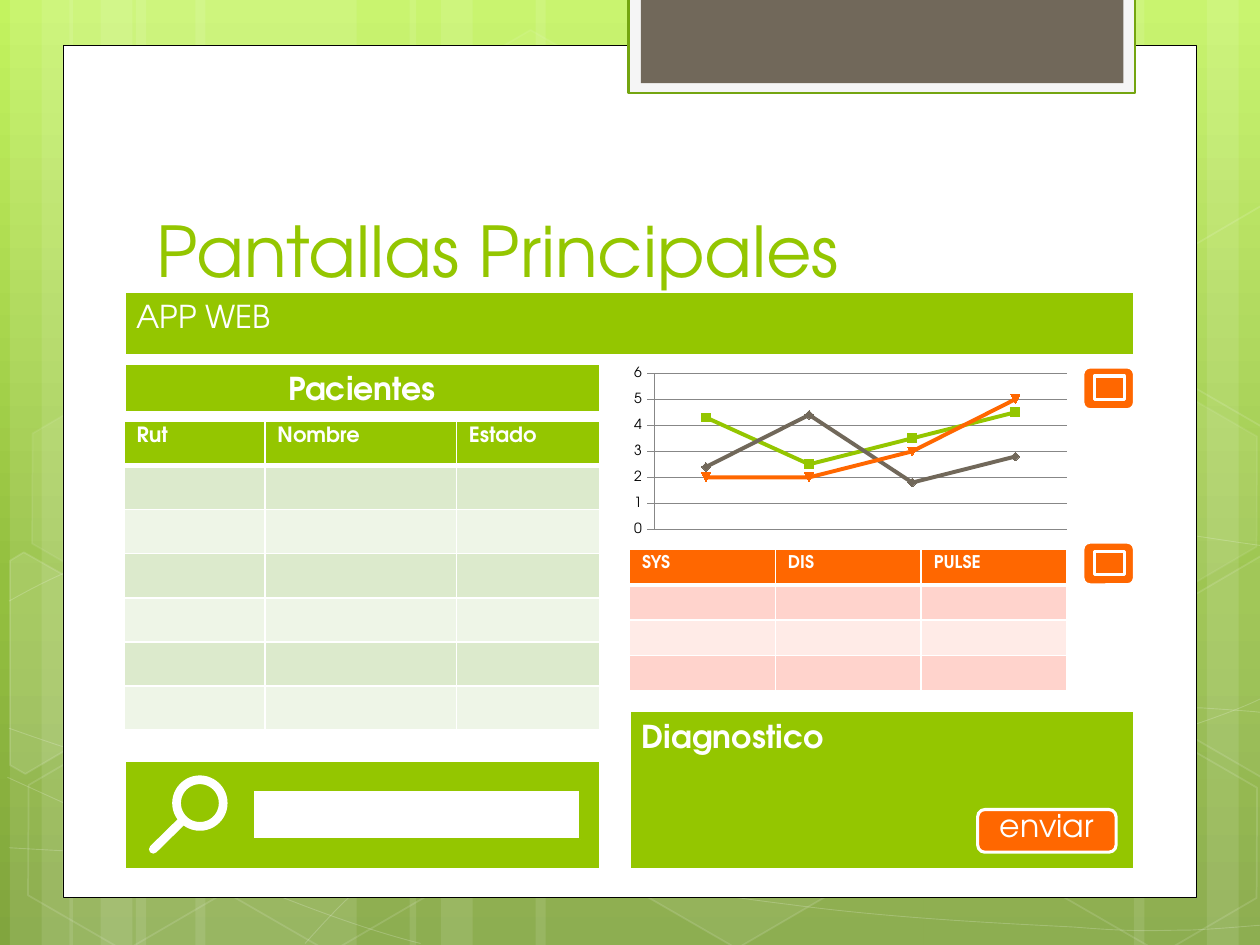
"""Build the slide "Pantallas Principales" with a mock-up of a patient web app."""
import math

import pptx
import pptx.chart.data
import pptx.dml.color
import pptx.enum.chart
import pptx.enum.shapes
import pptx.enum.text
import pptx.oxml
import pptx.oxml.ns
import pptx.util

Cm, Pt = pptx.util.Cm, pptx.util.Pt
rgb = pptx.dml.color.RGBColor.from_string
qn = pptx.oxml.ns.qn
SHAPE = pptx.enum.shapes.MSO_SHAPE
ANCHOR = pptx.enum.text.MSO_ANCHOR
ALIGN = pptx.enum.text.PP_ALIGN
DRAWING = 'xmlns:a="http://schemas.openxmlformats.org/drawingml/2006/main"'
FONT = "TeX Gyre Adventor"
COLORS = {
    "white": "FFFFFF", "black": "000000", "green": "94C600", "orange": "FF6700",
    "brown": "71685A", "tab": "F5F5F5", "tab edge": "74A510", "grid": "878787",
    "green band": "DCEACC", "green light": "EEF5E7",
    "orange band": "FFD3CC", "orange light": "FFEBE7",
    "sky": "C3F35F", "meadow": "93BF3F", "ground": "81A53E",
}


def paint(shape, fill=None, line=None, width=1, fill_alpha=100, line_alpha=100):
    shape.shadow.inherit = False
    for part, color, alpha in ((shape.fill, fill, fill_alpha), (shape.line.fill, line, line_alpha)):
        if color is None or alpha == 0:
            part.background()
            continue
        part.solid()
        part.fore_color.rgb = rgb(COLORS[color])
        if alpha < 100:
            holder = shape._element.spPr if part is shape.fill else shape.line._ln
            holder.find(qn("a:solidFill"))[0].append(
                pptx.oxml.parse_xml(f'<a:alpha {DRAWING} val="{alpha * 1000}"/>'))
    if line:
        shape.line.width = Pt(width)


def write(frame, text, size, color="white", bold=False, align=ALIGN.LEFT, anchor=ANCHOR.TOP):
    frame.word_wrap = True
    frame.vertical_anchor = anchor
    paragraph = frame.paragraphs[0]
    paragraph.alignment = align
    run = paragraph.add_run()
    run.text = text
    run.font.color.rgb = rgb(COLORS[color])
    for name, value in {"name": FONT, "size": Pt(size), "bold": bold}.items():
        setattr(run.font, name, value)


presentation = pptx.Presentation()
presentation.slide_width, presentation.slide_height = Cm(25.4), Cm(19.05)
slide = presentation.slides.add_slide(presentation.slide_layouts[6])
shapes = slide.shapes

background = slide.background.fill
background.gradient()
background.gradient_angle = 270
stop_list = slide._element.find(".//" + qn("a:gsLst"))
for stop in list(stop_list):
    stop_list.remove(stop)
for color, position in (("sky", 0), ("meadow", 62), ("ground", 100)):
    stop_list.append(pptx.oxml.parse_xml(
        f'<a:gs {DRAWING} pos="{position * 1000}"><a:srgbClr val="{COLORS[color]}"/></a:gs>'))

stripes = [(2.74, 4.45), (0.2, 1.27), (0.84, 2.11), (3.94, 4.45), (1.4, 1.27), (2.03, 2.11),
           (18.62, 4.45), (24.33, 1.27), (22.86, 2.11), (10.8, 7.82), (8.26, 1.27), (8.89, 2.11)]
for left, width in stripes:
    stripe = shapes.add_shape(SHAPE.RECTANGLE, Cm(left), 0, Cm(width), presentation.slide_height)
    paint(stripe, "white", fill_alpha=10)

curves = [
    [(0.18, 17.09), (1.55, 17.17), (2.92, 17.25), (4.83, 17.22), (6.73, 17.2), (9.09, 17.15),
     (11.63, 16.89), (14.17, 16.64), (17.78, 16.15), (20.12, 15.67), (22.43, 15.19),
     (24.82, 14.43), (25.58, 14)],
    [(0.18, 12.12), (0.91, 11.71), (1.65, 11.33), (3.07, 10.95), (4.52, 10.57), (6.58, 10.01),
     (8.81, 9.83), (11.07, 9.65), (13.82, 9.63), (16.61, 9.83), (19.41, 10.03),
     (24.05, 10.82), (25.58, 11.02)],
    [(0.15, 15.67), (3.23, 17.07), (6.27, 18.47), (8.48, 19.02)],
    [(0.18, 14.68), (0.97, 14.96), (1.78, 15.24), (3.25, 15.65), (4.72, 16.03), (6.93, 16.66),
     (9.07, 17.09), (11.18, 17.53), (13.84, 17.98), (15.95, 18.24), (18.06, 18.52),
     (20.32, 18.62), (21.67, 18.69), (22.99, 18.8), (23.34, 18.75), (24, 18.75),
     (24.66, 18.72), (25.12, 18.67), (25.58, 18.64)],
    [(6.15, 19.02), (6.6, 18.52), (7.06, 18.01), (7.67, 17.55), (8.28, 17.09), (9.14, 16.59),
     (9.86, 16.23), (10.57, 15.88), (11, 15.72), (11.94, 15.47), (12.85, 15.21), (14.55, 14.86),
     (15.44, 14.68), (16.36, 14.5), (16.48, 14.5), (17.27, 14.45), (18.06, 14.38), (19.3, 14.3),
     (20.17, 14.27), (21.06, 14.25), (22.5, 14.27), (22.5, 14.27), (23.07, 14.27),
     (23.64, 14.27), (24.21, 14.27), (24.66, 14.3), (25.1, 14.33), (25.32, 14.35),
     (25.55, 14.38), (25.48, 14.35), (25.55, 14.38)],
]
for controls in curves:
    points = [(Cm(x), Cm(y)) for x, y in controls]
    builder = shapes.build_freeform(*points[0])
    builder.add_line_segments(points[1:], close=False)
    curve = builder.convert_to_shape()
    outline = curve._element.find(".//" + qn("a:path"))
    segments = outline.findall(qn("a:lnTo"))
    for start in range(0, len(segments), 3):
        bezier = pptx.oxml.parse_xml(f"<a:cubicBezTo {DRAWING}/>")
        for segment in segments[start:start + 3]:
            bezier.append(segment[0])
            outline.remove(segment)
        outline.append(bezier)
    paint(curve, line="white", width=0.5, line_alpha=20)

TILT = 30
hexagons = [(8.48, 0.91, 4, 8), (12.62, 14.96, 6, 12), (0.28, 15.01, 0, 12), (0.36, 7.92, 7, 8),
            (4.42, 15.04, 0, 12), (19.13, 11.51, 10, 12), (21.18, 15.06, 0, 12), (21.18, 7.98, 7, 8)]
for left, top, fill_alpha, line_alpha in hexagons:
    hexagon = shapes.add_shape(SHAPE.HEXAGON, Cm(left), Cm(top), Cm(4.45), Cm(3.86))
    hexagon.adjustments[0] = 0.285
    hexagon.rotation = TILT
    paint(hexagon, "white", "white", 1, fill_alpha, line_alpha)

cut_hexagons = [
    (10, (0.91, 13.59),
     [(0.2, 11.3), (0.48, 11.13), (2.44, 12.24), (2.41, 14.48), (0.51, 15.6), (0.2, 15.42)]),
    (4, (25.02, 13.21),
     [(23.52, 12.32), (25.43, 11.2), (25.63, 11.33), (25.63, 15.57), (25.45, 15.67), (23.52, 14.55)]),
    (0, (25.02, 6.12),
     [(23.52, 5.26), (25.43, 4.14), (25.65, 4.27), (25.63, 8.51), (25.45, 8.61), (23.52, 7.49)]),
]
cosine, sine = math.cos(math.radians(TILT)), math.sin(math.radians(TILT))
for fill_alpha, (center_x, center_y), corners in cut_hexagons:
    points = [(Cm(center_x + (x - center_x) * cosine + (y - center_y) * sine),
               Cm(center_y - (x - center_x) * sine + (y - center_y) * cosine)) for x, y in corners]
    builder = shapes.build_freeform(*points[0])
    builder.add_line_segments(points[1:])
    cut_hexagon = builder.convert_to_shape()
    cut_hexagon.rotation = TILT
    paint(cut_hexagon, "white", "white", 1, fill_alpha, 12)

heading = {"size": 18, "bold": True}
centered = {"align": ALIGN.CENTER, "anchor": ANCHOR.MIDDLE}
panel = ("green", "white", 1.75)
button = ("orange", "white", 1.75)
boxes = [
    (SHAPE.RECTANGLE, (1.27, 0.91, 22.86, 17.19), ("white", "black", 0.5), None, {}),
    (SHAPE.RECTANGLE, (12.67, -0.05, 10.21, 1.93), ("tab", "tab edge", 1.25), None, {}),
    (SHAPE.RECTANGLE, (12.92, -0.05, 9.73, 1.73), ("brown",), None, {}),
    (SHAPE.RECTANGLE, (2.5, 7.32, 9.6, 0.99), panel, "Pacientes", heading | centered),
    (SHAPE.RECTANGLE, (12.69, 14.33, 10.19, 3.2), panel, "Diagnostico", heading),
    (SHAPE.RECTANGLE, (2.5, 5.87, 20.38, 1.3), panel, "APP WEB", {"size": 18}),
    (SHAPE.RECTANGLE, (2.5, 15.33, 9.6, 2.2), panel, None, {}),
    (SHAPE.RECTANGLE, (5.1, 15.93, 6.6, 0.99), ("white", "green", 1.25), None, {}),
    (SHAPE.OVAL, (3.56, 15.72, 0.94, 0.94), (None, "white", 5), None, {}),
    (SHAPE.ROUNDED_RECTANGLE, (19.71, 16.32, 2.79, 0.86), button, "enviar",
     {"size": 18, "align": ALIGN.CENTER, "anchor": ANCHOR.BOTTOM}),
]
for top in (7.4, 10.93):
    boxes.append((SHAPE.ROUNDED_RECTANGLE, (21.83, top, 1.04, 0.86), button, None, {}))
    boxes.append((SHAPE.RECTANGLE, (22.06, top + 0.18, 0.61, 0.48), button, None, {}))
for kind, place, style, text, text_format in boxes:
    box = shapes.add_shape(kind, *map(Cm, place))
    paint(box, *style)
    if text:
        write(box.text_frame, text, **text_format)

handle = shapes.add_connector(pptx.enum.shapes.MSO_CONNECTOR.STRAIGHT,
                              Cm(3.68), Cm(16.54), Cm(3.09), Cm(17.12))
handle.line.color.rgb = rgb(COLORS["white"])
handle.line.width = Pt(5)
handle.line._ln.set("cap", "rnd")
handle._element.spPr.append(pptx.oxml.parse_xml(f"<a:effectLst {DRAWING}/>"))

title = shapes.add_textbox(Cm(2.9), Cm(2.83), Cm(19.51), Cm(3.18))
write(title.text_frame, "Pantallas Principales", 40, "green", anchor=ANCHOR.BOTTOM)

tables = [
    (("Rut", "Nombre", "Estado"), 7, (2.5, 8.49), (2.84, 3.86, 2.9), 0.89, 12, "green"),
    (("SYS", "DIS", "PULSE"), 4, (12.69, 11.08), (2.94, 2.94, 2.94), 0.71, 10, "orange"),
]
for headers, row_count, (left, top), widths, row_height, size, color in tables:
    table = shapes.add_table(row_count, len(headers), Cm(left), Cm(top),
                             Cm(sum(widths)), Cm(row_height * row_count)).table
    table.horz_banding = False
    for column, width in zip(table.columns, widths):
        column.width = Cm(width)
    for row_index, row in enumerate(table.rows):
        row.height = Cm(row_height)
        shade = f"{color} band" if row_index % 2 else f"{color} light"
        for cell, header in zip(row.cells, headers):
            for side in "LRTB":
                thick = (row_index, side) in ((0, "B"), (1, "T"))
                cell._tc.get_or_add_tcPr().append(pptx.oxml.parse_xml(
                    f'<a:ln{side} {DRAWING} w="{Pt(3 if thick else 1)}"><a:solidFill>'
                    f'<a:srgbClr val="{COLORS["white"]}"/></a:solidFill></a:ln{side}>'))
            cell.fill.solid()
            cell.fill.fore_color.rgb = rgb(COLORS[shade if row_index else color])
            if row_index == 0:
                write(cell.text_frame, header, size, bold=True)
            else:
                cell.text_frame.paragraphs[0]._p.append(
                    pptx.oxml.parse_xml(f'<a:endParaRPr {DRAWING} sz="{size * 100}"/>'))

chart_data = pptx.chart.data.CategoryChartData()
chart_data.categories = ["1", "2", "3", "4"]
readings = {"green": (4.3, 2.5, 3.5, 4.5), "brown": (2.4, 4.4, 1.8, 2.8), "orange": (2, 2, 3, 5)}
for number, values in enumerate(readings.values(), 1):
    chart_data.add_series(f"Series {number}", values)
chart = shapes.add_chart(pptx.enum.chart.XL_CHART_TYPE.LINE_MARKERS, Cm(12.6), Cm(7.32),
                         Cm(9.09), Cm(3.56), chart_data).chart
for name, value in {"name": FONT, "size": Pt(8)}.items():
    setattr(chart.font, name, value)
chart.font.color.rgb = rgb(COLORS["black"])
chart.has_legend = chart.has_title = False
chart.category_axis.visible = False
chart.plots[0].vary_by_categories = False
axis = chart.value_axis
for name, value in {"minimum_scale": 0, "maximum_scale": 6, "major_unit": 1}.items():
    setattr(axis, name, value)
for line in (axis.format.line, axis.major_gridlines.format.line):
    line.color.rgb = rgb(COLORS["grid"])
    line.width = Pt(0.75)
for series, color in zip(chart.plots[0].series, readings):
    series.smooth = False
    series.format.line.width = Pt(2.25)
    series.marker.size = 5
    series.marker.format.fill.solid()
    for color_format in (series.format.line.color, series.marker.format.fill.fore_color,
                         series.marker.format.line.color):
        color_format.rgb = rgb(COLORS[color])

presentation.save("out.pptx")
